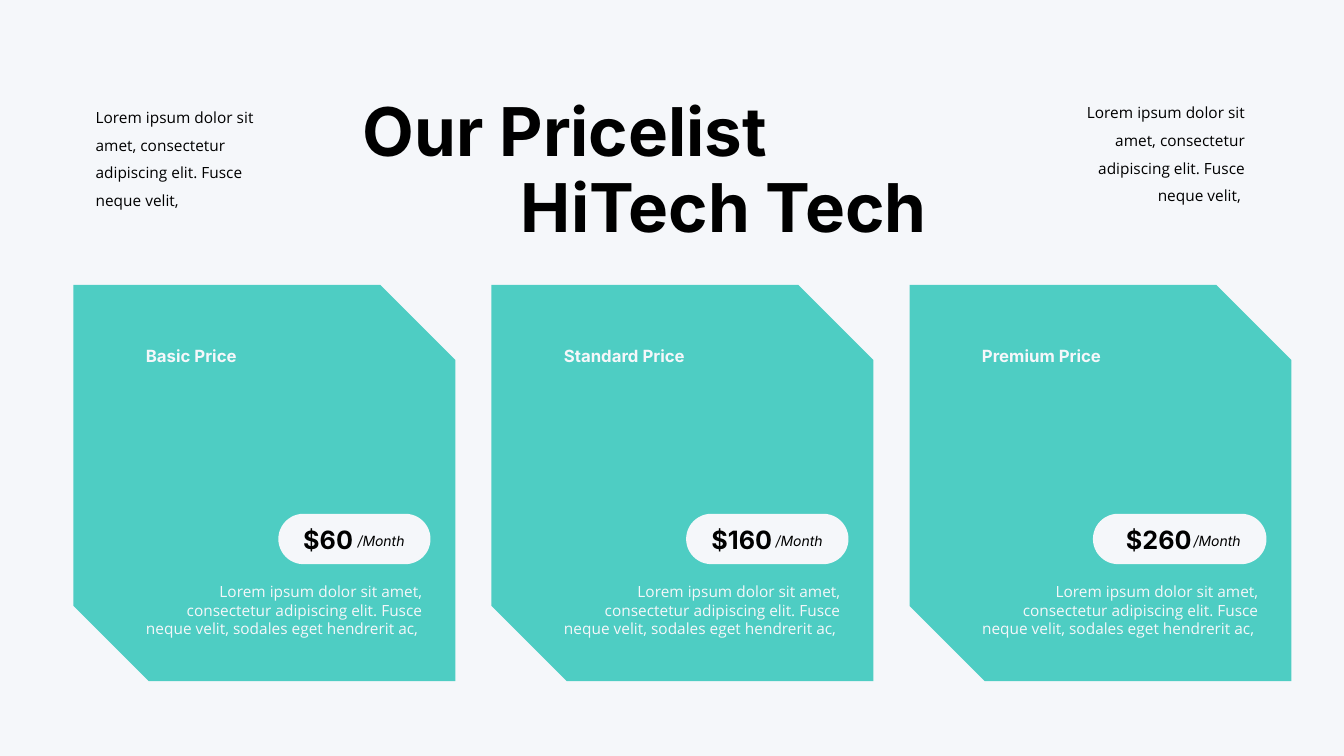
from pptx import Presentation
from pptx.dml.color import RGBColor
from pptx.enum.shapes import MSO_SHAPE as Shape
from pptx.enum.text import MSO_ANCHOR as Anchor, MSO_AUTO_SIZE as AutoSize, PP_ALIGN as Align
from pptx.util import Pt

TEAL = RGBColor(0x4E, 0xCD, 0xC3)
PALE = RGBColor(0xF5, 0xF7, 0xFA)
BLACK = RGBColor(0, 0, 0)
HEADING, BODY = "Inter", "Open Sans"

TITLE_LINES = [("Our Pricelist", 252, 60.5), ("HiTech Tech", 365, 114.5)]
INTRO = "Lorem ipsum dolor sit amet, consectetur adipiscing elit. Fusce neque velit,"
INTROS = [(INTRO, 61.2, 67, Align.LEFT), (INTRO + " ", 758.9, 63.6, Align.RIGHT)]
DETAIL = INTRO + " sodales eget hendrerit ac, "
PERIOD = "/Month"
PLANS = [
    {"name": "Basic Price", "price": "$60", "pill_width": 108.7, "price_offset": 157},
    {"name": "Standard Price", "price": "$160", "pill_width": 116, "price_offset": 150},
    {"name": "Premium Price", "price": "$260", "pill_width": 124, "price_offset": 147.5},
]
CARD_LEFT, CARD_TOP, CARD_WIDTH, CARD_HEIGHT = 52.5, 203.5, 272.8, 283
CARD_PITCH = 298.6
PILL_RIGHT = 255

presentation = Presentation()
presentation.slide_width, presentation.slide_height = Pt(960), Pt(540)
slide = presentation.slides.add_slide(presentation.slide_layouts[5])
slide.background.fill.solid()
slide.background.fill.fore_color.rgb = PALE


def place(part, left, top, width, height):
    part.left, part.top, part.width, part.height = map(Pt, (left, top, width, height))


def write(part, words, size, font_name=HEADING, color=BLACK, bold=False,
          italic=False, align=Align.LEFT, spacing=1.0):
    frame = part.text_frame
    frame.word_wrap = True
    frame.auto_size = AutoSize.SHAPE_TO_FIT_TEXT
    frame.vertical_anchor = Anchor.TOP
    paragraph = frame.paragraphs[0]
    paragraph.alignment, paragraph.line_spacing = align, spacing
    run = paragraph.add_run()
    run.text = words
    font = run.font
    font.name, font.size, font.bold, font.italic = font_name, Pt(size), bold, italic
    font.color.rgb = color


def add_text(words, left, top, width, height, size, **style):
    write(slide.shapes.add_textbox(*map(Pt, (left, top, width, height))), words, size, **style)


def add_panel(kind, left, top, width, height, color, *adjustments):
    panel = slide.shapes.add_shape(kind, *map(Pt, (left, top, width, height)))
    for index, value in enumerate(adjustments):
        panel.adjustments[index] = value
    panel.shadow.inherit = False
    panel.fill.solid()
    panel.fill.fore_color.rgb = color
    panel.line.fill.background()


(first_line, first_left, first_top), (second_line, second_left, second_top) = TITLE_LINES
place(slide.shapes.title, first_left, first_top, 409, 65.5)
write(slide.shapes.title, first_line, 48, bold=True)
add_text(second_line, second_left, second_top, 409, 65.5, 48, bold=True)

for words, left, top, align in INTROS:
    add_text(words, left, top, 137.5, 85, 11, font_name=BODY, align=align, spacing=1.5)

for column, plan in enumerate(PLANS):
    left = CARD_LEFT + column * CARD_PITCH
    add_panel(Shape.SNIP_2_DIAG_RECTANGLE, left, CARD_TOP, CARD_WIDTH, CARD_HEIGHT,
              TEAL, 0, 0.197)
    add_text(plan["name"], left + 44.6, 243.3, 106, 21.6, 12, color=PALE, bold=True)
    add_panel(Shape.ROUNDED_RECTANGLE, left + PILL_RIGHT - plan["pill_width"], 367,
              plan["pill_width"], 36, PALE, 0.5)
    add_text(plan["price"], left + plan["price_offset"], 370.8, 69, 29, 18, bold=True)
    add_text(PERIOD, left + 195.8, 377, 54, 19.4, 10, italic=True)
    add_text(DETAIL, left + 42.6, 412.5, 213.8, 47.5, 11, font_name=BODY,
             color=PALE, align=Align.RIGHT)

presentation.save("out.pptx")
